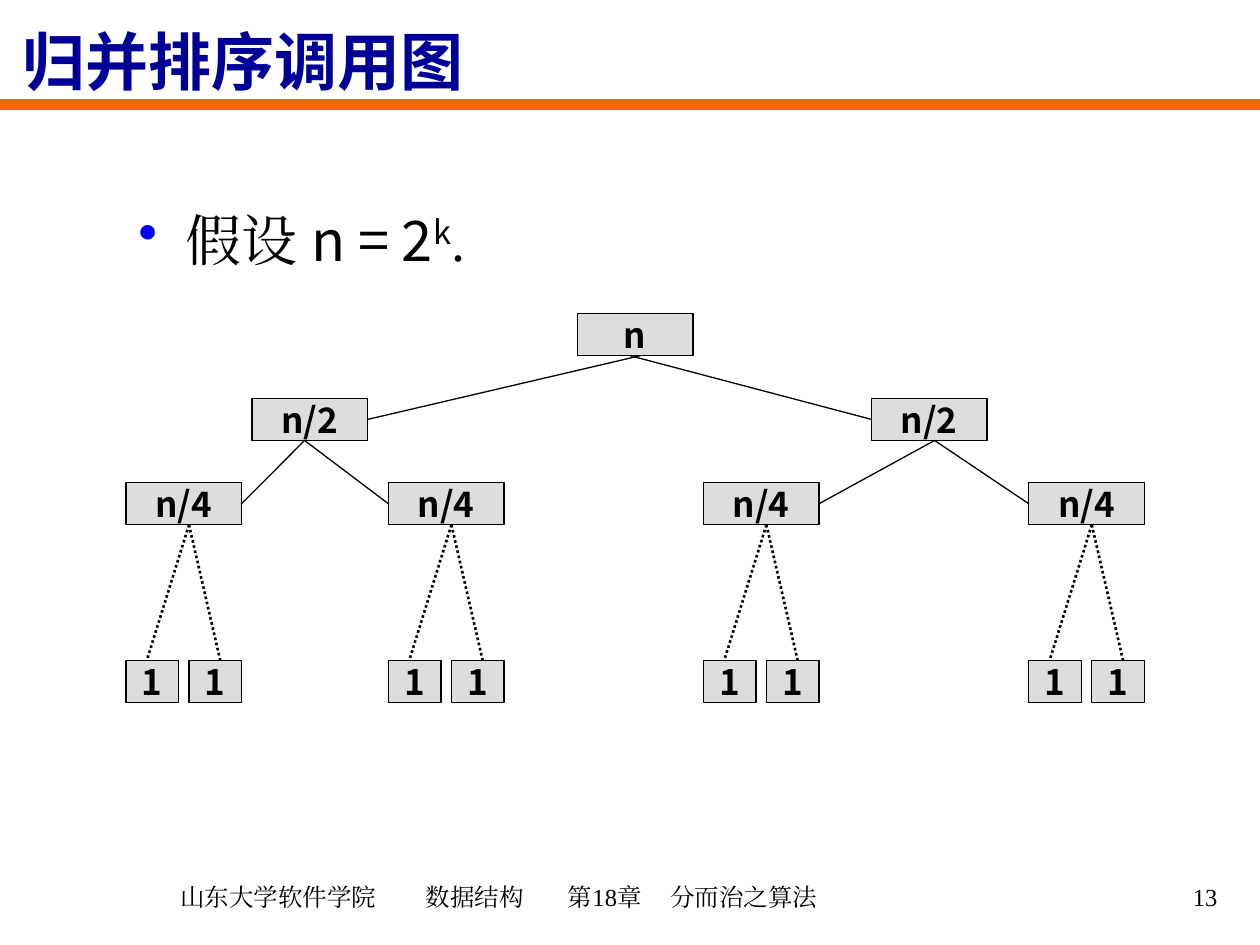
from lxml.etree import SubElement
from pptx import Presentation
from pptx.dml.color import RGBColor
from pptx.enum.dml import MSO_LINE
from pptx.enum.shapes import MSO_CONNECTOR, MSO_SHAPE
from pptx.enum.text import MSO_ANCHOR, PP_ALIGN
from pptx.oxml.ns import qn
from pptx.util import Cm, Pt

COLORS = {"title": "000099", "rule": "FF6600", "bullet": "0000FF",
          "box": "DDDDDD", "ink": "000000"}
SERIF, SANS, TITLE_FONT = "Times New Roman", "Noto Sans CJK KR", "Noto Sans CJK SC"

BOX_W, BOX_H = 2.33, 0.85
LEAF_W, LEAF_STEP = 1.06, 1.27
LEAF_TOP = 13.31
LEFT, RIGHT = 1, 3  # connection sites of a rectangle

# name: (label, left, top) in cm
NODES = {
    "root": ("n", 11.64, 6.32),
    "half1": ("n/2", 5.08, 8.03),
    "half2": ("n/2", 17.57, 8.03),
    "quarter1": ("n/4", 2.54, 9.73),
    "quarter2": ("n/4", 7.83, 9.73),
    "quarter3": ("n/4", 14.18, 9.73),
    "quarter4": ("n/4", 20.74, 9.73),
}
# parent, child, start along the parent's lower edge, side of the child
BRANCHES = [
    ("root", "half1", 1.27, RIGHT),
    ("root", "half2", 1.06, LEFT),
    ("half1", "quarter1", 1.06, RIGHT),
    ("half1", "quarter2", 1.06, LEFT),
    ("half2", "quarter3", 1.27, RIGHT),
    ("half2", "quarter4", 1.27, LEFT),
]


def rgb(name):
    return RGBColor.from_string(COLORS[name])


def style_run(r, size, font, color="ink", bold=False):
    r.font.size = Pt(size)
    r.font.name = font
    r.font.bold = bold
    r.font.color.rgb = rgb(color)
    SubElement(r._r.get_or_add_rPr(), qn("a:ea"), typeface=font)


def add_text(slide, box, text, size, font, color="ink", bold=False,
             align=PP_ALIGN.LEFT, anchor=MSO_ANCHOR.MIDDLE):
    sp = slide.shapes.add_textbox(*(Cm(v) for v in box))
    tf = sp.text_frame
    tf.word_wrap = True
    tf.vertical_anchor = anchor
    p = tf.paragraphs[0]
    p.text = text
    p.alignment = align
    for r in p.runs:
        style_run(r, size, font, color, bold)
    return tf


def add_line(slide, start, end, color="ink", width=0.75, dash=None):
    points = (Cm(v) for v in (*start, *end))
    line = slide.shapes.add_connector(MSO_CONNECTOR.STRAIGHT, *points)
    line.line.color.rgb = rgb(color)
    line.line.width = Pt(width)
    if dash:
        line.line.dash_style = dash
    SubElement(line._element.spPr, qn("a:effectLst"))
    return line


def add_box(slide, label, left, top, width):
    sp = slide.shapes.add_shape(MSO_SHAPE.RECTANGLE, Cm(left), Cm(top),
                                Cm(width), Cm(BOX_H))
    sp.shadow.inherit = False
    sp.fill.solid()
    sp.fill.fore_color.rgb = rgb("box")
    sp.line.color.rgb = rgb("ink")
    sp.line.width = Pt(0.75)
    tf = sp.text_frame
    tf.word_wrap = False
    tf.vertical_anchor = MSO_ANCHOR.MIDDLE
    p = tf.paragraphs[0]
    p.text = label
    p.alignment = PP_ALIGN.CENTER
    style_run(p.runs[0], 20, SANS, bold=True)
    return sp


def add_assumption(slide):
    """Bulleted line with a superscript exponent."""
    tf = add_text(slide, (2.54, 4.01, 22.86, 2.11), "", 32, SERIF,
                  anchor=MSO_ANCHOR.TOP)
    p = tf.paragraphs[0]
    pPr = p._p.get_or_add_pPr()
    pPr.set("marL", str(Cm(0.95)))
    pPr.set("indent", str(-Cm(0.95)))
    bullet_color = SubElement(pPr, qn("a:buClr"))
    SubElement(bullet_color, qn("a:srgbClr"), val=COLORS["bullet"])
    SubElement(pPr, qn("a:buChar"), char="•")
    for text, font, baseline in [("假设 ", SERIF, 0), ("n = 2", SANS, 0),
                                 ("k", SANS, 30000), (".", SERIF, 0)]:
        r = p.add_run()
        r.text = text
        style_run(r, 32, font)
        if baseline:
            r._r.get_or_add_rPr().set("baseline", str(baseline))


def add_footer(slide):
    tf = add_text(slide, (1.9, 17.42, 16.41, 1.3),
                  "山东大学软件学院\t数据结构\t第18章\t分而治之算法", 14, SERIF)
    tf.margin_left = Cm(1.73)
    tabs = SubElement(tf.paragraphs[0]._p.get_or_add_pPr(), qn("a:tabLst"))
    for stop in (4.95, 7.82, 9.88):
        SubElement(tabs, qn("a:tab"), pos=str(Cm(stop)), algn="l")
    add_text(slide, (19.51, 17.45, 5.28, 1.27), "13", 14, SERIF,
             align=PP_ALIGN.RIGHT)


def add_leaves(slide, left, top):
    """Two unit boxes below a quarter, with dotted lines leading to them."""
    for i, line_end in enumerate((0.42, 1.9)):
        add_box(slide, "1", left + i * LEAF_STEP, LEAF_TOP, LEAF_W)
        add_line(slide, (left + 1.27, top + BOX_H), (left + line_end, LEAF_TOP),
                 width=1.5, dash=MSO_LINE.ROUND_DOT)


def add_call_tree(slide):
    boxes = {name: add_box(slide, *node, BOX_W) for name, node in NODES.items()}
    for parent, child, offset, side in BRANCHES:
        _, left, top = NODES[parent]
        line = add_line(slide, (left + offset, top + BOX_H), NODES[child][1:])
        line.end_connect(boxes[child], side)
    for name, (_, left, top) in NODES.items():
        if name.startswith("quarter"):
            add_leaves(slide, left, top)


def main():
    prs = Presentation()
    prs.slide_width, prs.slide_height = Cm(25.4), Cm(19.05)
    slide = prs.slides.add_slide(prs.slide_layouts[6])
    add_line(slide, (0, 2.11), (25.4, 2.11), "rule", 6)
    add_footer(slide)
    add_text(slide, (0.2, -0.05, 21.59, 2.54), "归并排序调用图", 36,
             TITLE_FONT, "title", bold=True)
    add_assumption(slide)
    add_call_tree(slide)
    prs.save("out.pptx")


if __name__ == "__main__":
    main()
